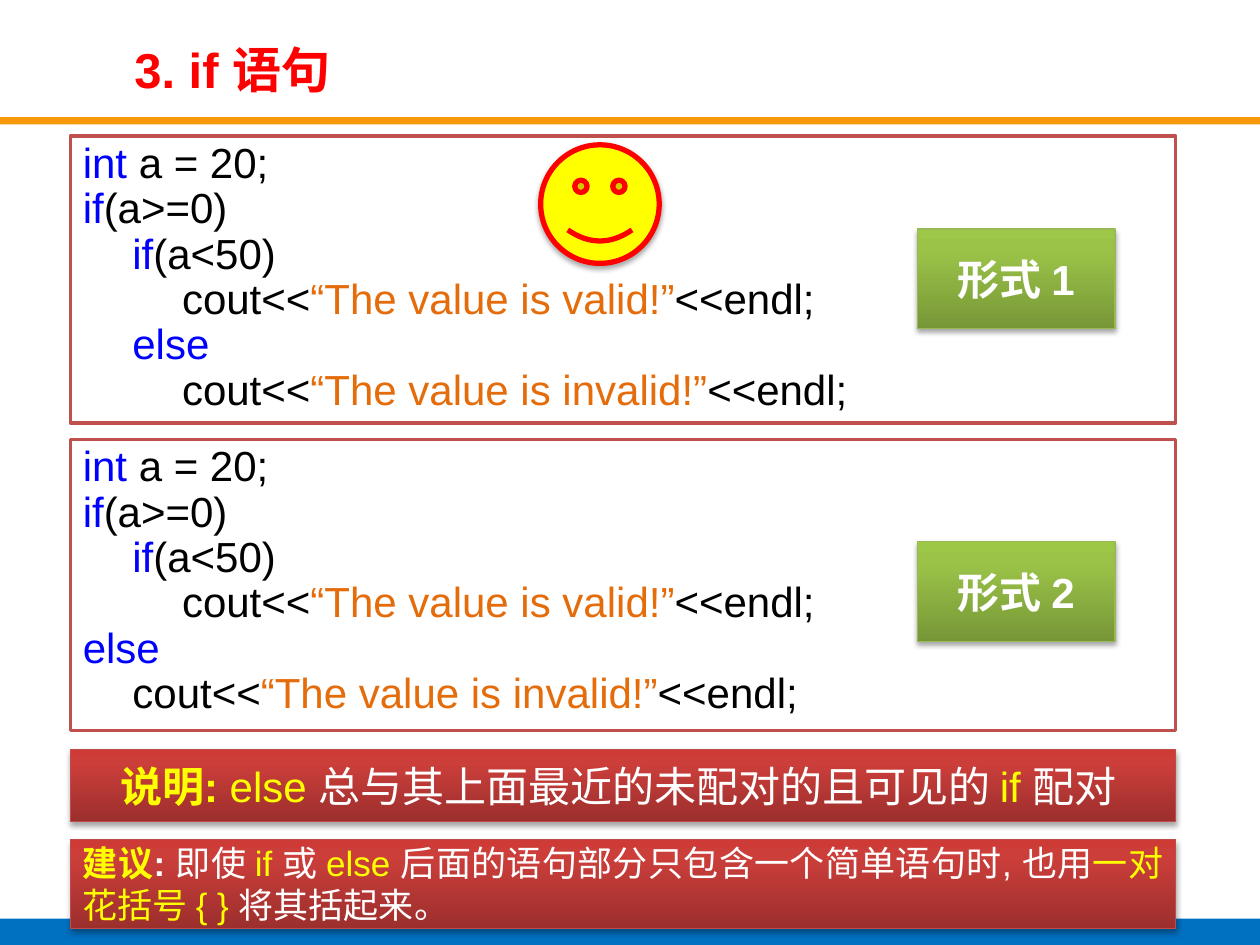
from pptx import Presentation
from pptx import util as u
from pptx.dml.color import RGBColor
from pptx.enum import shapes, text
from pptx.oxml import parse_xml
from pptx.oxml.ns import nsdecls, qn

THEME = {
    "font": "Arial",
    "size": {"title": 28, "main": 24, "note": 20},
    "key": "0000FF", "code": "000000", "str": "E46C0A",
    "hot": "FFFF00", "white": "FFFFFF", "red": "FF0000",
    "frame": "C0504D", "gold": "F7990A", "blue": "0070C0",
    "green": ("779737", "9BC348", "9DC746", "98B955"),
    "brick": ("9C2F2D", "CB3E3A", "CE3B37", "BF4C48"),
}

TITLE = "3. if 语句"
HEAD = [
    (0, [("int ", "key"), ("a = 20;", "code")]),
    (0, [("if", "key"), ("(a>=0)", "code")]),
    (1, [("if", "key"), ("(a<50)", "code")]),
]


def cout(word):
    return [("cout<<", "code"), (f"“The value is {word}!”", "str"), ("<<endl;", "code")]


def code(depth):
    return HEAD + [(2, cout("valid")), (depth, [("else", "key")]),
                   (depth + 1, cout("invalid"))]


LEFT, WIDE, STEP = 1.42, 22.28, 1
PANELS = [(2.74, 5.79, code(1)), (8.86, 5.87, code(0))]
TAGS = [(4.62, "形式 1"), (10.92, "形式 2")]
BARS = [(2.36, 0.15, "gold"), (18.52, 0.61, "blue")]
BANDS = [
    (15.11, 1.45, "main", text.PP_ALIGN.CENTER, [
        ("说明: ", "hot", True), ("else ", "hot"),
        ("总与其上面最近的未配对的且可见的 ", "white"),
        ("if ", "hot"), ("配对 ", "white")]),
    (16.92, 1.8, "note", text.PP_ALIGN.JUSTIFY, [
        ("建议", "hot", True), (": ", "white", True), ("即使 ", "white"),
        ("if ", "hot"), ("或 ", "white"), ("else ", "hot"),
        ("后面的语句部分只包含一个简单语句时, 也用", "white"),
        ("一对花括号 { } ", "hot"), ("将其括起来。", "white")]),
]


def rgb(name):
    return RGBColor.from_string(THEME.get(name, name))


def put(obj, vals):
    for name, val in vals.items():
        setattr(obj, name, val)


def shape(slide, kind, box, fill=None, line=None, width=0.75):
    item = slide.shapes.add_shape(kind, *map(u.Cm, box))
    item.shadow.inherit = False
    if fill:
        item.fill.solid()
        item.fill.fore_color.rgb = rgb(fill)
    if line:
        item.line.color.rgb = rgb(line)
        item.line.width = u.Pt(width)
    else:
        item.line.fill.background()
    return item


def shade(item):
    glow = item._element.spPr.find(qn("a:effectLst"))
    glow.append(parse_xml(
        f'<a:outerShdw {nsdecls("a")} blurRad="{u.Pt(3.1)}" dist="{u.Pt(1.8)}" '
        'dir="5400000" rotWithShape="0"><a:srgbClr val="000000">'
        '<a:alpha val="35000"/></a:srgbClr></a:outerShdw>'))


def glossy(slide, box, tone):
    *tones, edge = THEME[tone]
    item = shape(slide, shapes.MSO_SHAPE.RECTANGLE, box, line=edge)
    stops = "".join(f'<a:gs pos="{pos}000"><a:srgbClr val="{hue}"/></a:gs>'
                    for pos, hue in zip((0, 80, 100), tones))
    item._element.spPr.find(qn("a:prstGeom")).addnext(parse_xml(
        f'<a:gradFill {nsdecls("a")} rotWithShape="1"><a:gsLst>{stops}</a:gsLst>'
        '<a:lin ang="16200000" scaled="0"/></a:gradFill>'))
    shade(item)
    return item


def write(para, runs, size, **form):
    put(para, form)
    for words, hue, *bold in runs:
        run = para.add_run()
        run.text = words
        put(run.font, {"name": THEME["font"], "size": u.Pt(THEME["size"][size]),
                       "bold": bool(bold)})
        run.font.color.rgb = rgb(hue)


def frame(item, anchor=text.MSO_ANCHOR.MIDDLE):
    body = item.text_frame
    put(body, {"word_wrap": True, "vertical_anchor": anchor})
    return body


def panel(slide, top, high, lines):
    item = shape(slide, shapes.MSO_SHAPE.RECTANGLE, (LEFT, top, WIDE, high),
                 "white", "frame", 2)
    body = frame(item, text.MSO_ANCHOR.TOP)
    for i, (depth, runs) in enumerate(lines):
        para = body.add_paragraph() if i else body.paragraphs[0]
        write(para, runs, "main", alignment=text.PP_ALIGN.JUSTIFY, line_spacing=0.9)
        para._p.get_or_add_pPr().set("indent", str(u.Cm(depth * STEP)))
    para.space_after = u.Pt(12)


def main():
    deck = Presentation()
    put(deck, {"slide_width": u.Cm(25.4), "slide_height": u.Cm(19.05)})
    slide = deck.slides.add_slide(deck.slide_layouts[6])
    for top, high, hue in BARS:
        shape(slide, shapes.MSO_SHAPE.RECTANGLE, (0, top, 25.4, high), hue)
    title = slide.shapes.add_textbox(*map(u.Cm, (2.46, 0.69, 17.42, 1.4)))
    write(frame(title).paragraphs[0], [(TITLE, "red", True)], "title")
    for row in PANELS:
        panel(slide, *row)
    for top, label in TAGS:
        tag = glossy(slide, (18.49, top, 3.99, 2.01), "green")
        write(frame(tag).paragraphs[0], [(label, "white", True)], "main",
              alignment=text.PP_ALIGN.CENTER)
    shade(shape(slide, shapes.MSO_SHAPE.SMILEY_FACE, (10.9, 2.92, 2.39, 2.39),
                "hot", "red", 3))
    for top, high, size, align, runs in BANDS:
        band = glossy(slide, (LEFT, top, WIDE, high), "brick")
        write(frame(band).paragraphs[0], runs, size, alignment=align)
    deck.save("out.pptx")


if __name__ == "__main__":
    main()
